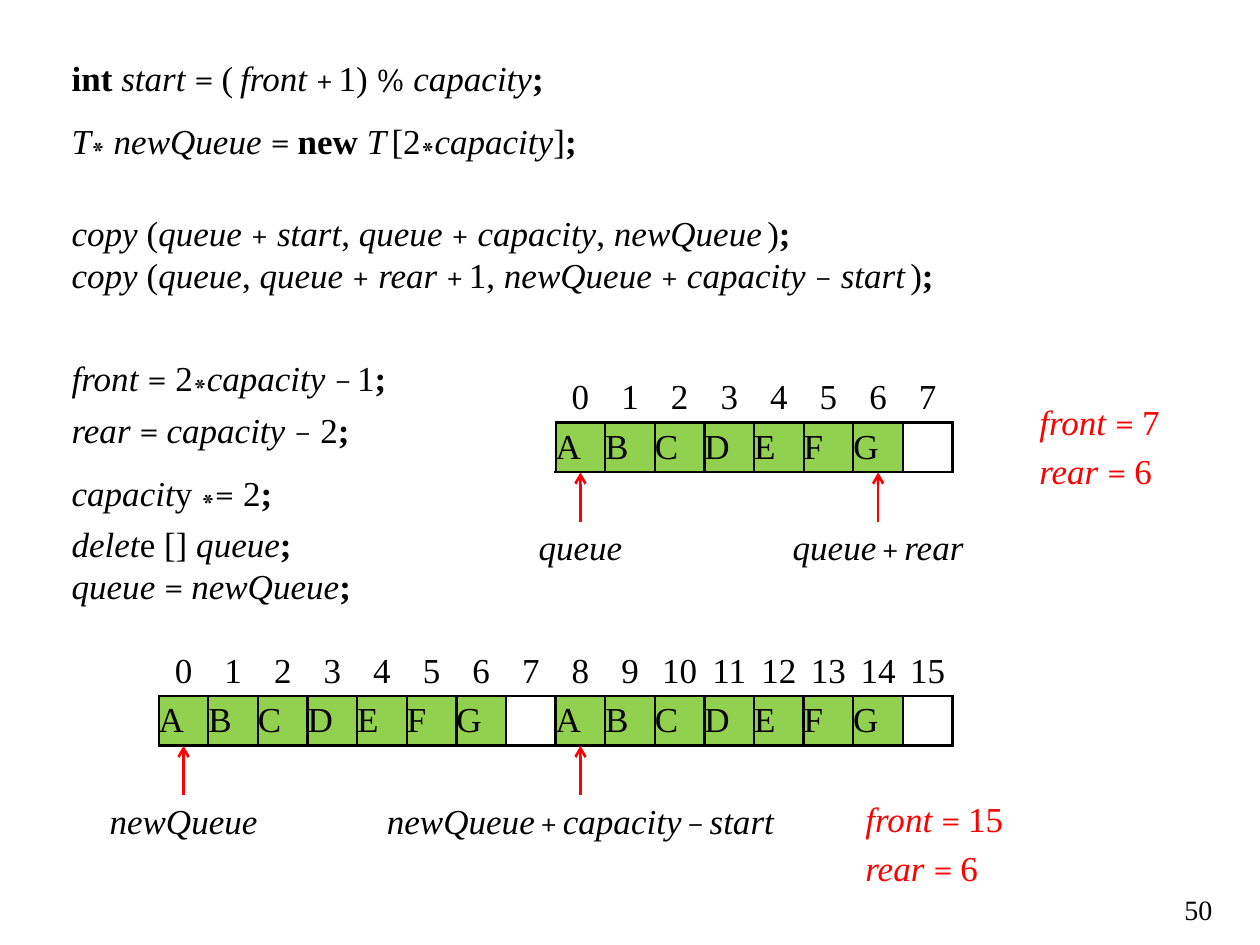
from lxml import etree
from pptx import Presentation
from pptx.dml.color import RGBColor
from pptx.enum.shapes import MSO_CONNECTOR
from pptx.enum.text import MSO_ANCHOR, PP_ALIGN
from pptx.oxml.ns import qn
from pptx.util import Inches, Pt

LINE = MSO_CONNECTOR.STRAIGHT
TOP, MID, LOW = MSO_ANCHOR.TOP, MSO_ANCHOR.MIDDLE, MSO_ANCHOR.BOTTOM
LEFT, CENTER, RIGHT = PP_ALIGN.LEFT, PP_ALIGN.CENTER, PP_ALIGN.RIGHT

COLORS = {"ink": "000000", "red": "FF0000", "green": "92D050", "white": "FFFFFF"}
SERIF, MATH = "Times New Roman", "Cambria"
KINDS = {
    "n": (SERIF, 20, False, False),
    "i": (SERIF, 20, False, True),
    "b": (SERIF, 20, True, False),
    "p": (SERIF, 16, False, False),
    "e": (MATH, 20, False, False),
    "o": (MATH, 18, False, False),
    "s": (MATH, 32, False, False),
}
CELL = 6.3 / 16
EDGE = 7.56

CODE = [
    ("bint |istart |e= |n(~~|ifront |o+~|n1) |o%|n |icapacity|b;", 0),
    ("iT|s*|n |inewQueue |e= |bnew |iT~|n[2|s*|icapacity|n]|b;", 0),
    ("icopy|n (|iqueue |o+|n |istart|n, |iqueue |o+|n |icapacity|n, "
     "|inewQueu|ie~|n)|b;", 23),
    ("icopy|n (|iqueue|n, |iqueue |o+|n |irear |o+~|n1, |inewQueue |o+|n "
     "|icapacity |o−|n |istar|it~|n)|b;", 0),
    ("ifront |e=|n 2|s*|icapacity |o−~|n1|b;", 23),
    ("irear |e= |icapacity |o−|n 2|b;", 0),
    ("icapacit|ny |s*|e=|n 2|b;", 0),
    ("idelet|ne [] |iqueue|b;", 0),
    ("iqueue |e= |inewQueue|b;", 0),
]


class Deck:
    """Draws styled text, arrays and pointers on the current slide."""

    def __init__(self):
        self.prs = Presentation()
        self.prs.slide_width, self.prs.slide_height = Inches(10), Inches(7.5)
        self.slide = self.prs.slides.add_slide(self.prs.slide_layouts[6])

    def color(self, name):
        return RGBColor.from_string(COLORS[name])

    def style(self, para, text, ink="ink", align=LEFT, gap=0):
        para.alignment = align
        para.space_before = Pt(gap)
        para.font.color.rgb = self.color(ink)
        parts = text.split("|")
        for part in parts:
            run = para.add_run()
            run.text = part[1:].rstrip("~")
            font = para.font if len(parts) == 1 else run.font
            font.name, size, font.bold, font.italic = KINDS[part[0]]
            font.size = Pt(size)
            props = run._r.get_or_add_rPr()
            wide = part.count("~")
            if wide:
                props.set("spc", str(100 * (wide + 2)))
            if part[0] == "s":
                props.set("baseline", "-18000")

    def text(self, box, lines, ink="ink", align=LEFT, anchor=TOP, pad=0.1):
        frame = self.slide.shapes.add_textbox(*map(Inches, box)).text_frame
        frame.word_wrap = True
        frame.vertical_anchor = anchor
        frame.margin_left = frame.margin_right = Inches(pad)
        for i, (line, gap) in enumerate(lines):
            para = frame.add_paragraph() if i else frame.paragraphs[0]
            self.style(para, line, ink, align, gap)

    def border(self, cell, sides):
        props = cell._tc.get_or_add_tcPr()
        for side in sides:
            line = etree.SubElement(props, qn(f"a:ln{side}"), w=str(Pt(1.5)))
            fill = etree.SubElement(line, qn("a:solidFill"))
            etree.SubElement(fill, qn("a:srgbClr"), val=COLORS["ink"])

    def array(self, top, items):
        size = len(items)
        left = EDGE - size * CELL
        box = map(Inches, (left, top, size * CELL, 2 * CELL))
        table = self.slide.shapes.add_table(2, size, *box).table
        table.first_row = table.horz_banding = False
        for col, item in enumerate(items):
            table.columns[col].width = Inches(CELL)
            head, body = table.cell(0, col), table.cell(1, col)
            for cell, sides in ((head, "B"), (body, "LRTB")):
                cell.margin_left = cell.margin_right = 0
                cell.margin_top = cell.margin_bottom = 0
                cell.vertical_anchor = MID
                self.border(cell, sides)
            head.fill.background()
            self.style(head.text_frame.paragraphs[0], f"n{col}", align=CENTER)
            body.fill.solid()
            body.fill.fore_color.rgb = self.color("white" if item == " " else "green")
            if item != " ":
                self.style(body.text_frame.paragraphs[0], f"n{item}")

    def point(self, slot, top, label, width, pad=0.1):
        x = EDGE - (slot - 0.5) * CELL
        ends = map(Inches, (x, top + CELL, x, top))
        arrow = self.slide.shapes.add_connector(LINE, *ends)
        arrow.line.color.rgb = self.color("red")
        arrow.line.width = Pt(1.5)
        props = arrow.element.spPr
        etree.SubElement(props.find(qn("a:ln")), qn("a:tailEnd"), type="arrow")
        etree.SubElement(props, qn("a:effectLst"))
        box = (x - width / 2, top + CELL, width, CELL)
        self.text(box, [(label, 0)], align=CENTER, anchor=MID, pad=pad)

    def state(self, left, top, front, rear):
        lines = [(f"ifront |e= |n{front}", 0), (f"irear |e= |n{rear}", 4)]
        self.text((left, top, 1.38, 0.79), lines, ink="red", anchor=LOW)


def main():
    deck = Deck()
    deck.text((0.47, 0.4, 7.28, 3.94), CODE)
    deck.text((9.25, 7.06, 0.47, 0.32), [("p50", 0)], align=RIGHT, anchor=MID)
    deck.array(2.96, "ABCDEFG ")
    deck.point(8, 3.75, "iqueue", 0.79, 0.04)
    deck.point(2, 3.75, "iqueu|ie~|o+~|irear", 1.57, 0.08)
    deck.state(8.15, 3.16, 7, 6)
    deck.array(5.13, "ABCDEFG " * 2)
    deck.point(16, 5.92, "inewQueue", 1.57)
    deck.point(8, 5.92, "inewQueu|ie~|o+~|icapacit|iy~|o−~|istart", 3.54)
    deck.state(6.77, 6.31, 15, 6)
    deck.prs.save("out.pptx")


if __name__ == "__main__":
    main()
